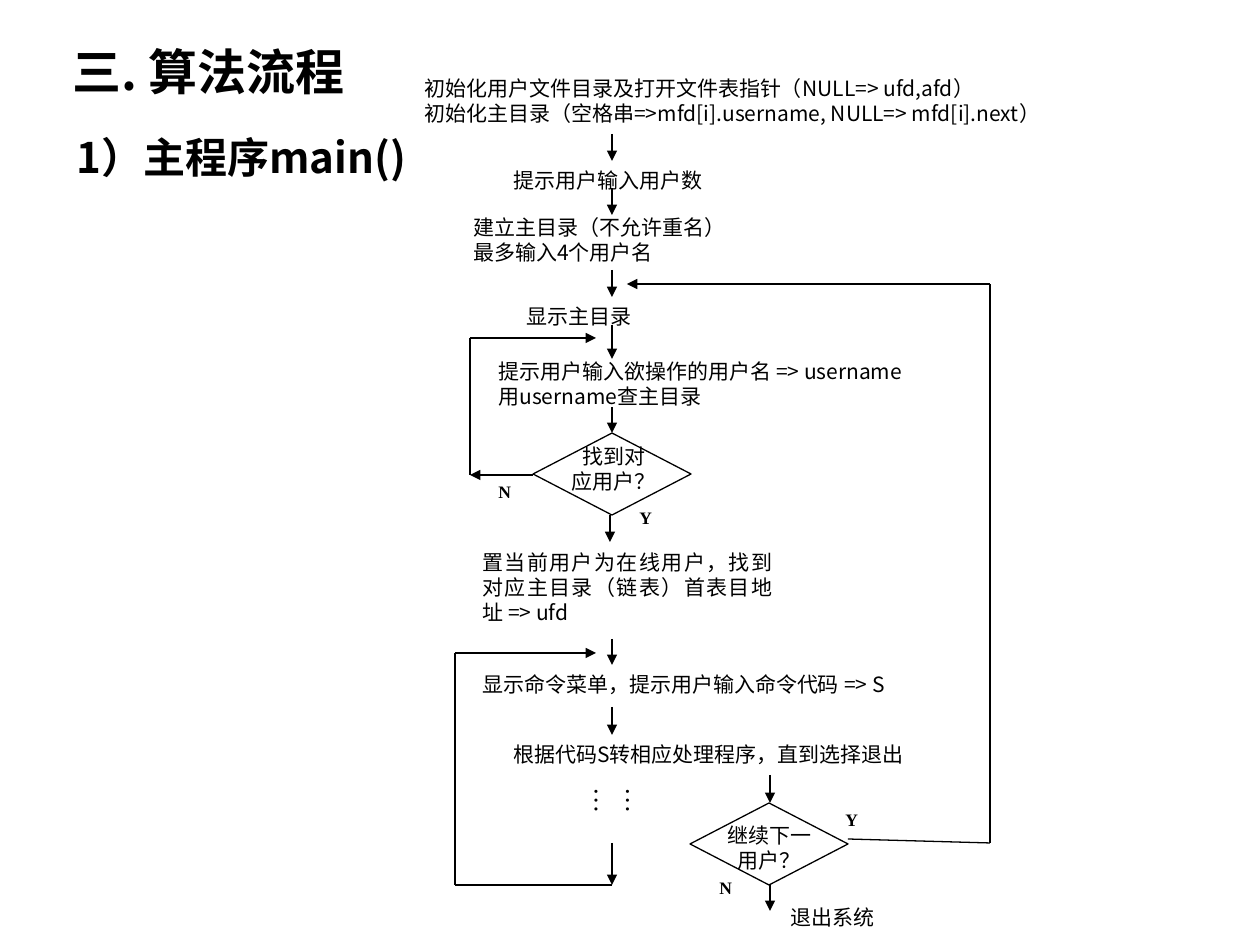
import itertools

import pptx
import pptx.dml.color
import pptx.enum.shapes
import pptx.enum.text
import pptx.oxml.ns
import pptx.util
from lxml import etree

PX = 914400 / 126
COLORS = {"ink": "000000", "paper": "FFFFFF"}
SANS, SERIF = "Noto Sans CJK SC", "Times New Roman"
ALIGN = pptx.enum.text.PP_ALIGN
STEP = {"size": 12, "name": SANS, "bold": False}
BRANCH = {"size": 10, "name": SERIF, "bold": True}
DOTS = {"size": 15, "name": SERIF, "bold": False}
TITLE = {"size": 28, "name": SANS, "bold": True}
SUBTITLE = {"size": 24, "name": SANS, "bold": True}

MAIN_X, EXIT_X = 612, 770
DIAMOND_W, DIAMOND_H = 158, 82
DECISIONS = [(533, 433), (690, 803)]

# left, top, width, height, lines
STEPS = [
    (412, 69, 677, 68, ["初始化用户文件目录及打开文件表指针（NULL=> ufd,afd）",
                        "初始化主目录（空格串=>mfd[i].username, NULL=> mfd[i].next）"]),
    (501, 161, 599, 40, ["提示用户输入用户数"]),
    (461, 208, 318, 76, ["建立主目录（不允许重名）", "最多输入4个用户名"]),
    (514, 297, 555, 40, ["显示主目录"]),
    (486, 352, 599, 62, ["提示用户输入欲操作的用户名 => username", "用username查主目录"]),
    (470, 543, 315, 68, ["置当前用户为在线用户，找到对应主目录（链表）首表目地址 => ufd"]),
    (470, 665, 478, 39, ["显示命令菜单，提示用户输入命令代码 => S"]),
    (501, 735, 426, 40, ["根据代码S转相应处理程序，直到选择退出"]),
]
CENTRED = [
    (551, 437, 126, 82, ["找到对", "应用户？"]),
    (675, 816, 189, 69, ["继续下一", "用户？"]),
    (738, 898, 189, 40, ["退出系统"]),
]
BRANCHES = [(627, 501, "Y"), (486, 475, "N"), (833, 803, "Y"), (707, 871, "N")]

# x, top, bottom
DOWN_ARROWS = [(MAIN_X, top, bottom) for top, bottom in [
    (134, 161), (188, 215), (270, 297), (325, 359), (407, 433),
    (639, 665), (707, 735), (843, 885)]]
DOWN_ARROWS += [(610, 515, 542), (EXIT_X, 775, 803), (EXIT_X, 885, 911)]
LOOPS = [
    [(533, 475), (470, 475)],
    [(470, 475), (470, 338), (596, 338)],
    [(MAIN_X, 885), (455, 885), (455, 653), (596, 653)],
    [(848, 839), (990, 843), (990, 284), (627, 284)],
]


def px(*lengths):
    return [pptx.util.Emu(round(n * PX)) for n in lengths]


def rgb(name):
    return pptx.dml.color.RGBColor.from_string(COLORS[name])


def style_line(line):
    line.color.rgb = rgb("ink")
    line.width = pptx.util.Pt(0.75)


def add_text(shapes, box, lines, style, align=ALIGN.JUSTIFY):
    tf = shapes.add_textbox(*px(*box)).text_frame
    tf.word_wrap = True
    for i, line in enumerate(lines):
        p = tf.add_paragraph() if i else tf.paragraphs[0]
        p.alignment = align
        r = p.add_run()
        r.text = line
        for key, value in style.items():
            setattr(r.font, key, pptx.util.Pt(value) if key == "size" else value)
        r.font.color.rgb = rgb("ink")
        ea = etree.SubElement(r._r.get_or_add_rPr(), pptx.oxml.ns.qn("a:ea"))
        ea.set("typeface", style["name"])
    return tf


def add_decision(shapes, left, top):
    kind = pptx.enum.shapes.MSO_SHAPE.FLOWCHART_DECISION
    s = shapes.add_shape(kind, *px(left, top, DIAMOND_W, DIAMOND_H))
    s.shadow.inherit = False
    s.fill.solid()
    s.fill.fore_color.rgb = rgb("paper")
    style_line(s.line)


def add_route(shapes, points):
    """Join the points with straight lines and put an arrowhead on the last."""
    qn = pptx.oxml.ns.qn
    for start, end in itertools.pairwise(points):
        s = shapes.add_connector(pptx.enum.shapes.MSO_CONNECTOR.STRAIGHT,
                                 *px(*start, *end))
        style_line(s.line)
        etree.SubElement(s._element.spPr, qn("a:effectLst"))
    etree.SubElement(s.line._get_or_add_ln(), qn("a:tailEnd")).set("type", "triangle")


def add_headings(shapes):
    tf = add_text(shapes, (25, 26, 367, 90), ["三. 算法流程"], TITLE, ALIGN.CENTER)
    tf.vertical_anchor = pptx.enum.text.MSO_ANCHOR.MIDDLE
    tf = add_text(shapes, (64, 135, 427, 83), ["1）主程序main()"], SUBTITLE, ALIGN.LEFT)
    tf.paragraphs[0].line_spacing = 0.8


def add_ellipsis(shapes):
    """Vertical dots for the command handlers left out of the chart."""
    tf = add_text(shapes, (581, 775, 78, 68), ["……"], DOTS)
    margins = {"margin_left": 0.05, "margin_right": 0.05,
               "margin_top": 0.1, "margin_bottom": 0.1}
    for key, value in margins.items():
        setattr(tf, key, pptx.util.Inches(value))
    tf._txBody.bodyPr.set("vert", "eaVert")


def add_flowchart(shapes):
    for left, top in DECISIONS:
        add_decision(shapes, left, top)
    for *box, lines in STEPS:
        add_text(shapes, box, lines, STEP)
    for *box, lines in CENTRED:
        add_text(shapes, box, lines, STEP, ALIGN.CENTER)
    for left, top, label in BRANCHES:
        add_text(shapes, (left, top, 48, 41), [label], BRANCH)
    add_ellipsis(shapes)
    for x, top, bottom in DOWN_ARROWS:
        add_route(shapes, [(x, top), (x, bottom)])
    for points in LOOPS:
        add_route(shapes, points)


def main():
    prs = pptx.Presentation()
    prs.slide_width, prs.slide_height = px(1260, 945)
    slide = prs.slides.add_slide(prs.slide_layouts[6])
    add_headings(slide.shapes)
    add_flowchart(slide.shapes.add_group_shape().shapes)
    prs.save("out.pptx")


if __name__ == "__main__":
    main()
